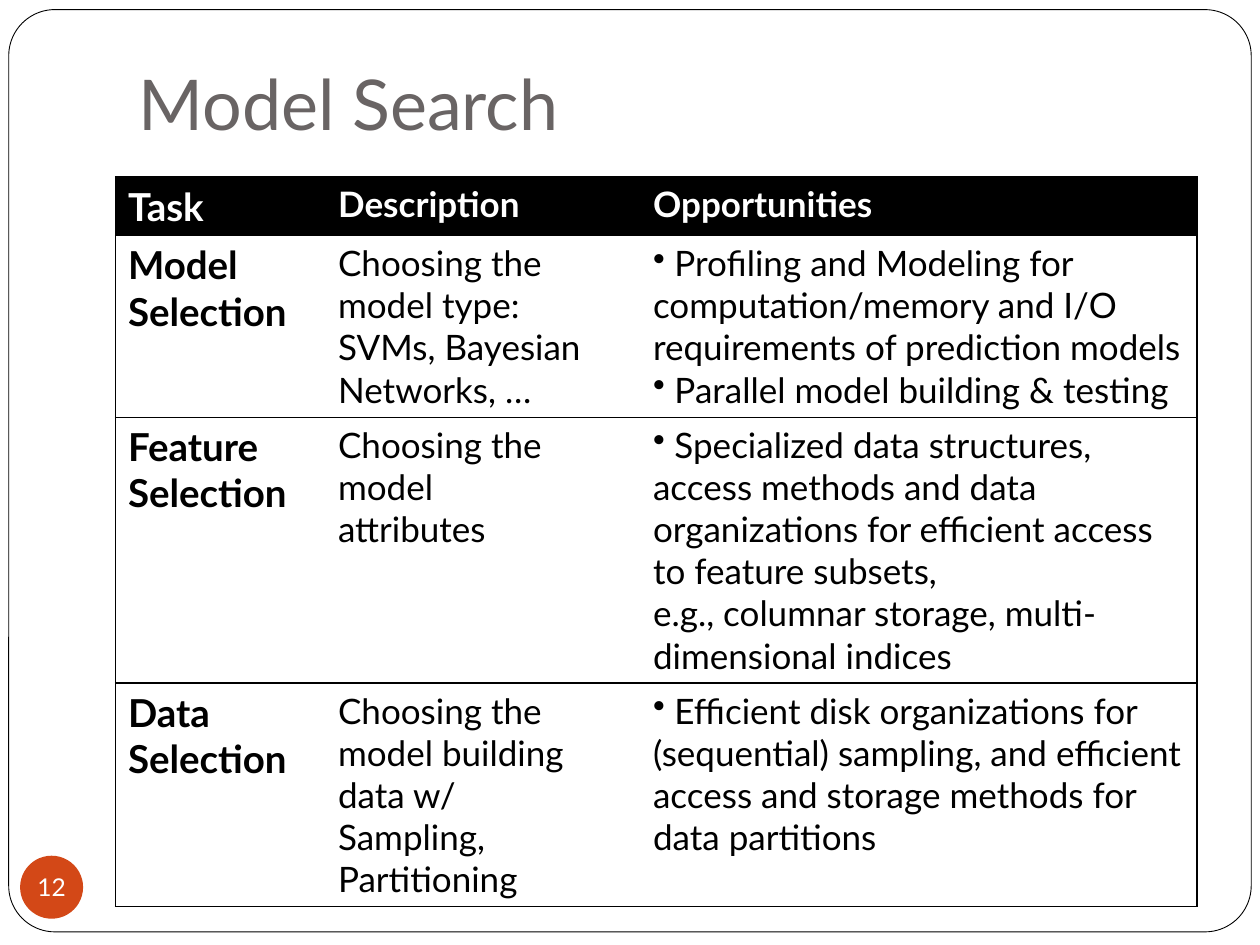
from dataclasses import dataclass
from typing import Any

from lxml.etree import SubElement
from pptx import Presentation
from pptx.dml.color import RGBColor
from pptx.enum.shapes import MSO_SHAPE as Shape
from pptx.enum.text import MSO_ANCHOR as Anchor, PP_ALIGN as Align
from pptx.oxml.ns import qn
from pptx.util import Pt

BLACK = RGBColor(0, 0, 0)
WHITE = RGBColor(255, 255, 255)
GRAY = RGBColor(0x69, 0x64, 0x64)
ORANGE = RGBColor(0xD3, 0x48, 0x17)

COLUMNS = (120, 180, 318)
HEIGHTS = (33, 101.5, 124.5, 101.5)
ROWS = (
    ("Task", "Description", ["Opportunities"]),
    ("Model Selection", "Choosing the model type: \vSVMs, Bayesian Networks, …",
     [" Profiling and Modeling for computation/memory and I/O requirements of prediction models",
      " Parallel model building & testing"]),
    ("Feature Selection", "Choosing the model\vattributes",
     [" Specialized data structures, access methods and data organizations for efficient access "
      "to feature subsets,\ve.g., columnar storage, multi-dimensional indices"]),
    ("Data Selection", "Choosing the model building data w/\vSampling, Partitioning",
     [" Efficient disk organizations for (sequential) sampling, and efficient access and "
      "storage methods for data partitions"]),
)


def assign(target, values):
    for name, value in values.items():
        setattr(target, name, value)


@dataclass
class SlideBuilder:
    """Holds the text style and the current slide."""
    page: Any
    font: str = "Lato"

    def text(self, para, text, size, color, bold=False):
        para.text = text
        for span in para.runs:
            assign(span.font, {"name": self.font, "size": Pt(size), "bold": bold})
            span.font.color.rgb = color

    def title(self, text, left, top, width, height):
        box = self.page.shapes.title
        assign(box, {"left": Pt(left), "top": Pt(top), "width": Pt(width), "height": Pt(height)})
        assign(box.text_frame, {
            "vertical_anchor": Anchor.BOTTOM, "word_wrap": True,
            "margin_left": Pt(7.2), "margin_right": Pt(7.2),
            "margin_top": Pt(3.6), "margin_bottom": Pt(7.2)})
        para = box.text_frame.paragraphs[0]
        self.text(para, text, 40, GRAY)
        para.alignment = Align.LEFT

    def shape(self, kind, left, top, width, height, fill):
        shape = self.page.shapes.add_shape(kind, Pt(left), Pt(top), Pt(width), Pt(height))
        shape.shadow.inherit = False
        shape.fill.solid()
        shape.fill.fore_color.rgb = fill
        shape.line.fill.background()
        return shape

    def frame(self, left, top, width, height):
        frame = self.shape(Shape.ROUNDED_RECTANGLE, left, top, width, height, WHITE)
        frame.adjustments[0] = 0.05
        frame.line.color.rgb = BLACK
        frame.line.width = Pt(0.5)
        self.page.shapes.title.element.addprevious(frame.element)

    def badge(self, text, left, top, size):
        badge = self.shape(Shape.OVAL, left, top, size, size, ORANGE)
        assign(badge.text_frame, {
            "vertical_anchor": Anchor.MIDDLE, "word_wrap": False, "margin_left": 0,
            "margin_right": 0, "margin_top": 0, "margin_bottom": 0})
        para = badge.text_frame.paragraphs[0]
        self.text(para, text, 14, WHITE)
        para.alignment = Align.CENTER

    def borders(self, cell, visible):
        props = cell._tc.get_or_add_tcPr()
        for side in "LRTB":
            line = SubElement(props, qn(f"a:ln{side}"), w=str(Pt(0.75)))
            if side in visible:
                fill = SubElement(line, qn("a:solidFill"))
                SubElement(fill, qn("a:srgbClr"), val=str(BLACK))
            else:
                SubElement(line, qn("a:noFill"))

    def cell(self, cell, texts, size, header, bold, bullet, sides):
        self.borders(cell, sides)
        cell.fill.solid()
        cell.fill.fore_color.rgb = BLACK if header else WHITE
        box = cell.text_frame
        for index, text in enumerate(texts):
            para = box.add_paragraph() if index else box.paragraphs[0]
            self.text(para, text, size, WHITE if header else BLACK, bold)
            if bullet:
                SubElement(para._p.get_or_add_pPr(), qn("a:buChar"), char="•")

    def table(self, left, top, columns, heights, rows):
        table = self.page.shapes.add_table(
            len(rows), len(columns), Pt(left), Pt(top), Pt(sum(columns)), Pt(sum(heights))).table
        table.horz_banding = False
        for column, width in zip(table.columns, columns):
            column.width = Pt(width)
        for row, height in zip(table.rows, heights):
            row.height = Pt(height)
        sides = ("LTB", "TB", "RTB")
        for r, values in enumerate(rows):
            for c, value in enumerate(values):
                texts = value if isinstance(value, list) else [value]
                self.cell(table.cell(r, c), texts, 20 if c else 22, header=r == 0,
                          bold=r == 0 or c == 0, bullet=r > 0 and c == 2, sides=sides[c])


deck = Presentation()
assign(deck, {"slide_width": Pt(720), "slide_height": Pt(540)})
slide = SlideBuilder(deck.slides.add_slide(deck.slide_layouts[5]))
slide.frame(5, 5.5, 710, 527)
slide.title("Model Search", 72, 0, 612, 90)
slide.badge("12", 11.5, 489, 36)
slide.table(66, 101, COLUMNS, HEIGHTS, ROWS)
deck.save("out.pptx")
